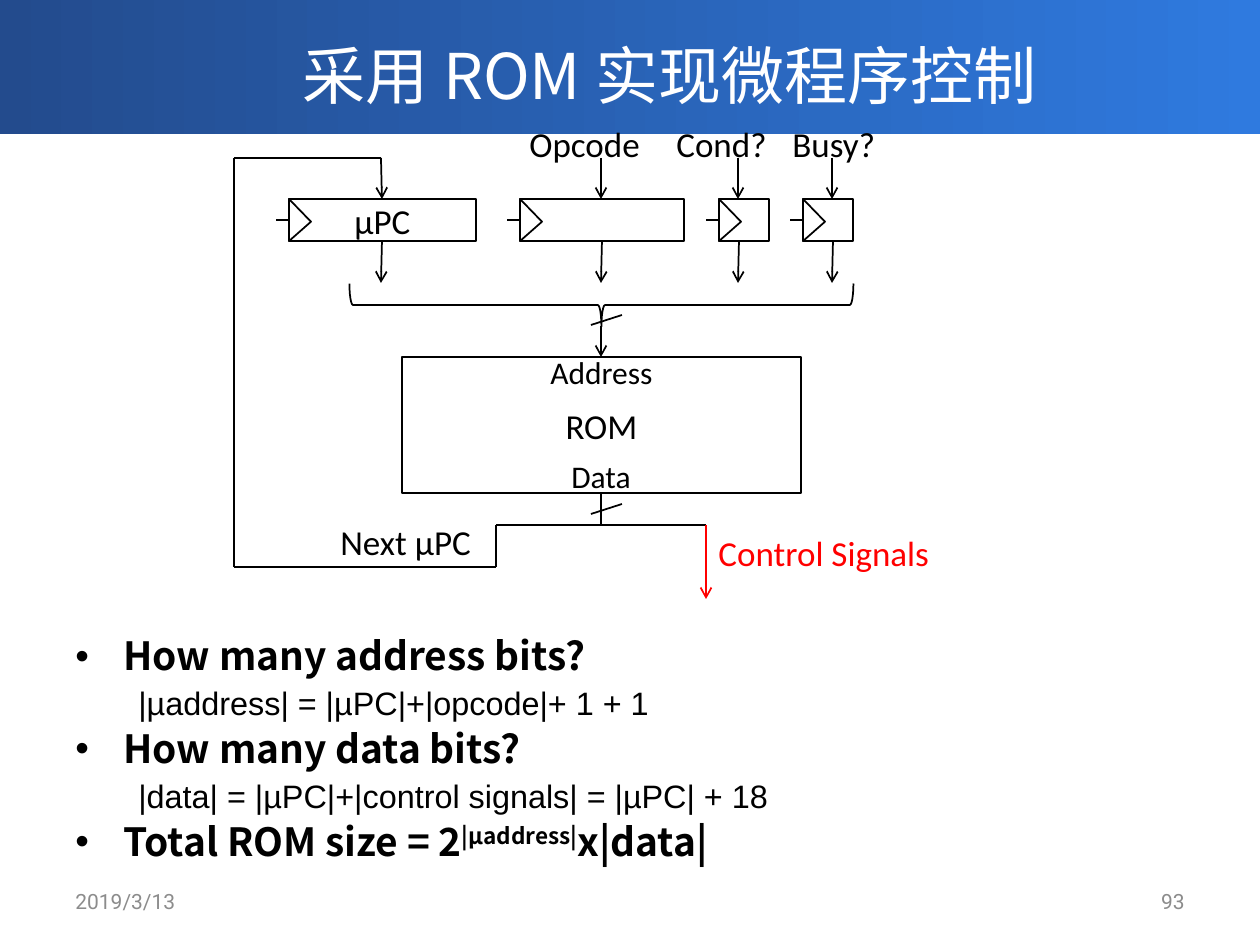
import pptx
import pptx.dml.color
import pptx.enum.shapes
import pptx.enum.text
import pptx.oxml.xmlchemy
import pptx.util

SCALE = 914400 / 126
SHAPES = pptx.enum.shapes.MSO_SHAPE
ALIGN = pptx.enum.text.PP_ALIGN
ANCHOR = pptx.enum.text.MSO_ANCHOR
CJK = "Noto Sans CJK SC"
BLACK, WHITE, RED, GREY = "000000", "FFFFFF", "FF0000", "8C8C8C"


def px(length):
    return pptx.util.Emu(round(length * SCALE))


def color(value):
    return pptx.dml.color.RGBColor.from_string(value)


def add_xml(parent, tag, **attributes):
    element = pptx.oxml.xmlchemy.OxmlElement(tag)
    for name, value in attributes.items():
        element.set(name, str(value))
    parent.append(element)
    return element


def write(paragraph, text, size=20, font="Calibri", fill=BLACK, bold=False,
          align=ALIGN.LEFT, baseline=None):
    paragraph.alignment = align
    run = paragraph.add_run()
    run.text = text
    run.font.size = pptx.util.Pt(size)
    run.font.name = font
    run.font.bold = bold
    run.font.color.rgb = color(fill)
    properties = run.font._element
    add_xml(properties, "a:ea", typeface=font)
    if baseline:
        properties.set("baseline", str(baseline))


def add_label(slide, text, left, top, width, height, wrap=False,
              anchor=ANCHOR.TOP, **text_format):
    box = slide.shapes.add_textbox(px(left), px(top), px(width), px(height))
    box.text_frame.word_wrap = wrap
    box.text_frame.vertical_anchor = anchor
    write(box.text_frame.paragraphs[0], text, **text_format)


def add_box(slide, kind, left, top, width, height, text="", rotation=0):
    shape = slide.shapes.add_shape(kind, px(left), px(top), px(width), px(height))
    shape.shadow.inherit = False
    shape.rotation = rotation
    shape.fill.solid()
    shape.fill.fore_color.rgb = color(WHITE)
    shape.line.color.rgb = color(BLACK)
    shape.line.width = pptx.util.Pt(1)
    if text:
        frame = shape.text_frame
        frame.margin_left = frame.margin_right = 0
        frame.margin_top = frame.margin_bottom = 0
        frame.vertical_anchor = ANCHOR.MIDDLE
        write(frame.paragraphs[0], text, align=ALIGN.CENTER)
    return shape


def add_line(slide, start, end, stroke=BLACK, arrow=False):
    line = slide.shapes.add_connector(
        pptx.enum.shapes.MSO_CONNECTOR.STRAIGHT,
        px(start[0]), px(start[1]), px(end[0]), px(end[1]))
    line.line.color.rgb = color(stroke)
    line.line.width = pptx.util.Pt(1)
    if arrow:
        add_xml(line.line._get_or_add_ln(), "a:tailEnd", type="arrow")
    add_xml(line._element.spPr, "a:effectLst")


def add_register(slide, left, width, text=""):
    add_line(slide, (left, 220), (left - 13, 220))
    add_box(slide, SHAPES.RECTANGLE, left, 199, width, 42, text)
    clock = add_box(slide, SHAPES.ISOSCELES_TRIANGLE, left - 10, 209, 42, 22, rotation=90)
    clock.adjustments[0] = 0.54


def add_header(slide):
    for top in (-4, 0):
        band = slide.shapes.add_shape(SHAPES.RECTANGLE, 0, px(top), px(1260), px(134))
        band.shadow.inherit = False
        band.line.fill.background()
        band.fill.gradient()
        band.fill.gradient_angle = 0
        for position, value in enumerate(("234B8D", "2F7ADF")):
            stop = band.fill.gradient_stops[position]
            stop.position = position
            stop.color.rgb = color(value)
    title = slide.shapes.title
    title.left, title.top, title.width, title.height = map(px, (142, 20, 1055, 108))
    title.text_frame.vertical_anchor = ANCHOR.MIDDLE
    write(title.text_frame.paragraphs[0], "采用 ROM 实现微程序控制", size=36,
          font=CJK, fill=WHITE, align=ALIGN.CENTER)
    slide.shapes._spTree.append(title._element)


def add_diagram(slide):
    for left, width, text in ((289, 187, "µPC"), (520, 164, ""), (719, 50, ""), (803, 50, "")):
        add_register(slide, left, width, text)
    add_box(slide, SHAPES.RECTANGLE, 402, 357, 399, 136, "ROM")
    add_box(slide, SHAPES.LEFT_BRACE, 580, 53, 43, 504, rotation=270)
    for x in (381, 601, 738, 832):
        add_line(slide, (x + 1, 241), (x, 283), arrow=True)
    for text, x, left, width in (("Opcode", 601, 517, 137), ("Cond?", 738, 664, 116),
                                 ("Busy?", 832, 780, 110)):
        add_line(slide, (x, 158), (x, 199), arrow=True)
        add_label(slide, text, left, 116, width, 55)
    add_line(slide, (601, 326), (601, 357), arrow=True)
    add_line(slide, (601, 493), (601, 525))
    for y in (325, 514):
        add_line(slide, (591, y), (622, y - 10))
    add_line(slide, (601, 525), (706, 525))
    add_line(slide, (706, 525), (706, 599), stroke=RED, arrow=True)
    feedback = ((601, 525), (496, 525), (496, 567), (234, 567), (234, 158), (381, 158), (382, 199))
    for start, end in zip(feedback, feedback[1:]):
        add_line(slide, start, end, arrow=end == feedback[-1])
    add_label(slide, "Address", 538, 347, 130, 50, size=18)
    add_label(slide, "Data", 559, 451, 86, 50, size=18)
    add_label(slide, "Next µPC", 328, 514, 157, 55)
    add_label(slide, "Control Signals", 706, 525, 239, 55, fill=RED)


def add_paragraph(frame, first, indent, hanging, space):
    paragraph = frame.paragraphs[0] if first else frame.add_paragraph()
    paragraph.line_spacing = 0.9
    paragraph.space_before = pptx.util.Pt(space)
    properties = paragraph._element.get_or_add_pPr()
    properties.set("marL", str(px(indent)))
    properties.set("indent", str(px(-hanging)))
    if hanging:
        add_xml(properties, "a:buFont", typeface="Arial")
        add_xml(properties, "a:buChar", char="•")
    return paragraph


def add_questions(slide):
    box = slide.shapes.add_textbox(px(63), px(631), px(1134), px(238))
    frame = box.text_frame
    frame.word_wrap = True
    heading = {"size": 22.2, "font": CJK, "bold": True}
    questions = (("How many address bits?", "|µaddress| = |µPC|+|opcode|+ 1 + 1"),
                 ("How many data bits?", "|data| = |µPC|+|control signals| = |µPC| + 18"))
    for index, (question, answer) in enumerate(questions):
        write(add_paragraph(frame, index == 0, 48, 48, 4), question, **heading)
        write(add_paragraph(frame, False, 63, 0, 5), answer, size=18.5, font="Arial")
    total = add_paragraph(frame, False, 48, 48, 4)
    write(total, "Total ROM size = 2", **heading)
    write(total, "|µaddress|", baseline=30000, **heading)
    write(total, "x|data|", **heading)


def add_footer(slide):
    for text, left, align in (("2019/3/13", 63, ALIGN.LEFT), ("93", 903, ALIGN.RIGHT)):
        add_label(slide, text, left, 876, 294, 50, wrap=True, anchor=ANCHOR.MIDDLE,
                  size=12, font="Roboto", fill=GREY, align=align)


def main():
    presentation = pptx.Presentation()
    presentation.slide_width, presentation.slide_height = px(1260), px(945)
    slide = presentation.slides.add_slide(presentation.slide_layouts[5])
    add_header(slide)
    add_questions(slide)
    add_diagram(slide)
    add_footer(slide)
    presentation.save("out.pptx")


if __name__ == "__main__":
    main()
